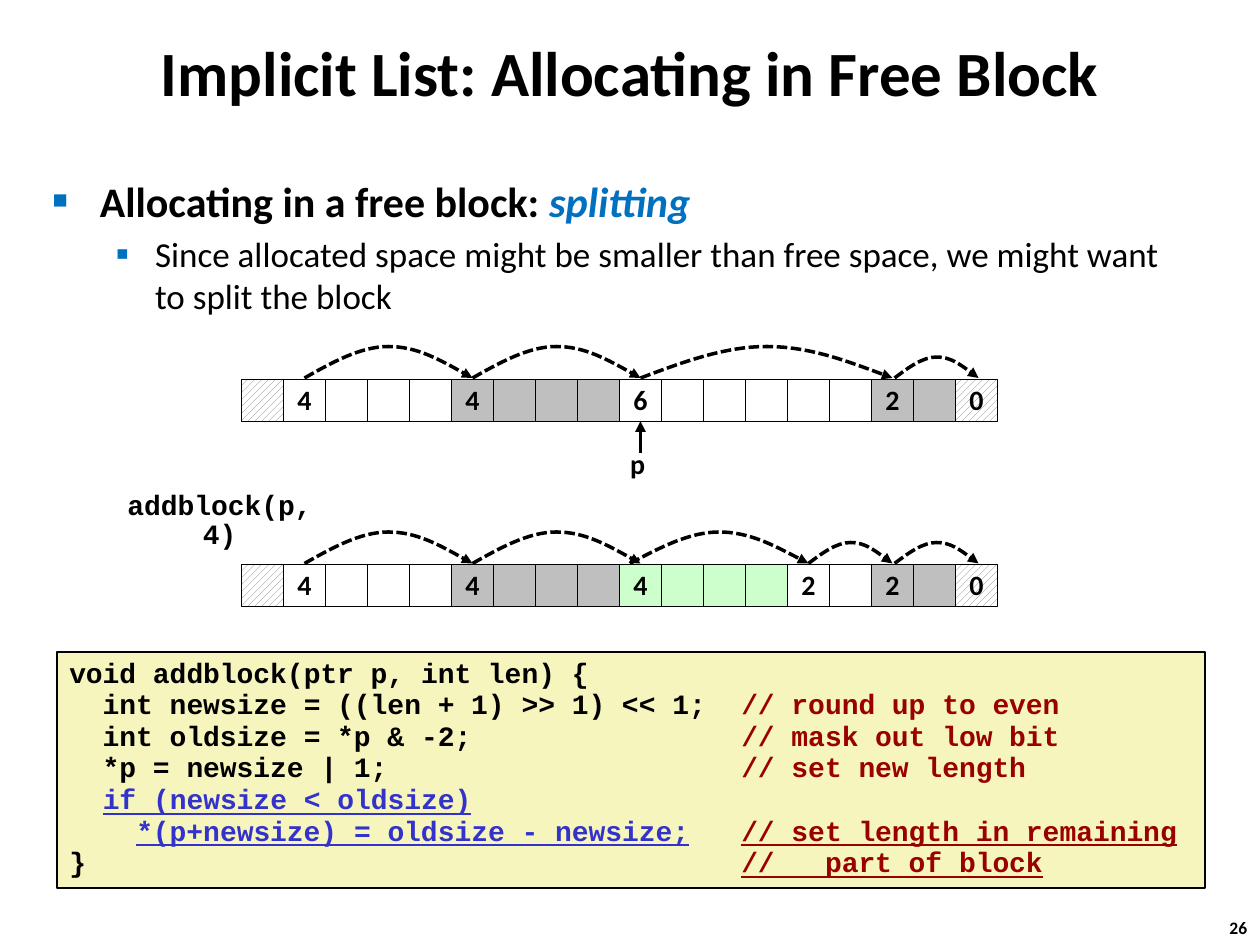
from lxml.etree import SubElement
from pptx import Presentation
from pptx.dml.color import RGBColor
from pptx.enum.dml import MSO_LINE, MSO_PATTERN
from pptx.enum.shapes import MSO_CONNECTOR, MSO_SHAPE
from pptx.enum.text import MSO_ANCHOR, PP_ALIGN
from pptx.oxml.ns import qn
from pptx.util import Pt

BLACK = RGBColor(0x00, 0x00, 0x00)
WHITE = RGBColor(0xFF, 0xFF, 0xFF)
GRAY = RGBColor(0xBF, 0xBF, 0xBF)
HATCH = RGBColor(0x80, 0x80, 0x80)
GREEN = RGBColor(0xCC, 0xFF, 0xCC)
CREAM = RGBColor(0xF6, 0xF5, 0xBD)
ACCENT = RGBColor(0x00, 0x70, 0xC0)
INDIGO = RGBColor(0x33, 0x33, 0xCC)
MAROON = RGBColor(0x99, 0x00, 0x00)

CELL = 24          # side of one memory word
HEAP_LEFT = 138
HATCHED = None     # fill of the words at both ends of the heap


class SlideBuilder:
    body_font = "Calibri"
    code_font = "Courier New"

    def __init__(self, slide):
        self.slide = slide
        self.shapes = slide.shapes

    def format(self, run, size=16, color=BLACK, bold=True, italic=None,
               underline=None, font=None):
        run.font.name = font or self.body_font
        run.font.size = Pt(size)
        run.font.bold = bold
        run.font.italic = italic
        run.font.underline = underline
        run.font.color.rgb = color

    def add_runs(self, paragraph, pieces, **style):
        for text, extra in pieces:
            run = paragraph.add_run()
            run.text = text
            self.format(run, **{**style, **extra})

    def label(self, left, top, width, height, text, align=PP_ALIGN.LEFT,
              spacing=None, wrap=False, anchor=MSO_ANCHOR.TOP, **style):
        box = self.shapes.add_textbox(Pt(left), Pt(top), Pt(width), Pt(height))
        self.fill_text(box.text_frame, text, align, spacing, wrap, anchor, **style)

    def fill_text(self, frame, text, align, spacing, wrap, anchor, **style):
        frame.text = text
        frame.word_wrap = wrap
        frame.vertical_anchor = anchor
        paragraph = frame.paragraphs[0]
        paragraph.alignment = align
        paragraph.line_spacing = spacing
        self.format(paragraph.runs[0], **style)

    def rectangle(self, left, top, width, height, color, line_width):
        box = self.shapes.add_shape(MSO_SHAPE.RECTANGLE, Pt(left), Pt(top),
                                    Pt(width), Pt(height))
        box.shadow.inherit = False
        if color is HATCHED:
            box.fill.patterned()
            box.fill.pattern = MSO_PATTERN.WIDE_UPWARD_DIAGONAL
            box.fill.fore_color.rgb = HATCH
            box.fill.back_color.rgb = WHITE
        else:
            box.fill.solid()
            box.fill.fore_color.rgb = color
        box.line.color.rgb = BLACK
        box.line.width = Pt(line_width)
        return box

    def heap(self, top, blocks):
        """Draw blocks of (header, words, colour) and return their words."""
        words = []
        for header, count, color in blocks:
            for position in range(count):
                word = self.rectangle(HEAP_LEFT + CELL * len(words), top,
                                      CELL, CELL, color, 0.25)
                if position == 0 and header:
                    self.fill_text(word.text_frame, header, PP_ALIGN.CENTER,
                                   0.98, False, MSO_ANCHOR.MIDDLE)
                words.append(word)
        return words

    def stroke(self, line):
        line.color.rgb = BLACK
        line.width = Pt(2)
        SubElement(line._get_or_add_ln(), qn("a:tailEnd"), type="triangle")

    def jump(self, base, first, last, rise):
        """Dashed arc between the centres of two words, counted from the left."""
        start, end = (Pt(HEAP_LEFT + CELL * (i + 0.5)) for i in (first, last))
        width, height = end - start, Pt(rise)
        builder = self.shapes.build_freeform(start, Pt(base))
        builder.add_line_segments(
            [(start + width // 2, Pt(base - rise)), (end, Pt(base))], close=False)
        arc = builder.convert_to_shape()
        # Bend both segments into Bezier curves
        bends = [[(1 / 6, 0.5), (1 / 3, 0)], [(2 / 3, 0), (5 / 6, 0.5)]]
        segments = list(arc._element.iter(qn("a:lnTo")))
        for segment, controls in zip(segments, bends):
            segment.tag = qn("a:cubicBezTo")
            for place, (x, y) in enumerate(controls):
                point = SubElement(segment, qn("a:pt"),
                                   x=str(round(width * x)), y=str(round(height * y)))
                segment.insert(place, point)
        arc.shadow.inherit = False
        arc.fill.background()
        arc.line.dash_style = MSO_LINE.SQUARE_DOT
        self.stroke(arc.line)

    def pointer(self, word, length):
        x, bottom = word.left + word.width // 2, word.top + word.height
        arrow = self.shapes.add_connector(MSO_CONNECTOR.STRAIGHT, x,
                                          bottom + Pt(length), x, bottom)
        arrow.end_connect(word, 2)
        self.stroke(arrow.line)
        SubElement(arrow._element.spPr, qn("a:effectLst"))

    def bullets(self, left, top, width, height, items):
        frame = self.shapes.add_textbox(Pt(left), Pt(top), Pt(width),
                                        Pt(height)).text_frame
        frame.word_wrap = True
        for level, (mark, scale, margin, hang, before, size, pieces) in enumerate(items):
            paragraph = frame.paragraphs[0] if level == 0 else frame.add_paragraph()
            paragraph.level = level
            paragraph.space_before = Pt(before)
            props = paragraph._p.get_or_add_pPr()
            props.set("marL", str(Pt(margin)))
            props.set("indent", str(-Pt(hang)))
            SubElement(SubElement(props, qn("a:buClr")), qn("a:srgbClr"), val=str(ACCENT))
            SubElement(props, qn("a:buSzPct"), val=str(scale * 1000))
            SubElement(props, qn("a:buFont"), typeface="Arial")
            SubElement(props, qn("a:buChar"), char=mark)
            self.add_runs(paragraph, pieces, size=size)

    def code(self, left, top, width, height, lines, comment_column):
        frame = self.rectangle(left, top, width, height, CREAM, 1).text_frame
        frame.word_wrap = True
        frame.vertical_anchor = MSO_ANCHOR.TOP
        for number, pieces in enumerate(lines):
            paragraph = frame.paragraphs[0] if number == 0 else frame.add_paragraph()
            paragraph.alignment = PP_ALIGN.LEFT
            paragraph.line_spacing = 0.94
            tabs = SubElement(paragraph._p.get_or_add_pPr(), qn("a:tabLst"))
            SubElement(tabs, qn("a:tab"), pos=str(Pt(comment_column)), algn="l")
            self.add_runs(paragraph, pieces, font=self.code_font)


def main():
    deck = Presentation()
    deck.slide_width, deck.slide_height = Pt(720), Pt(540)
    page = SlideBuilder(deck.slides.add_slide(deck.slide_layouts[6]))

    # Title, page number and bullets
    page.label(21, 18, 678, 45, "Implicit List: Allocating in Free Block",
               PP_ALIGN.CENTER, wrap=True, anchor=MSO_ANCHOR.MIDDLE, size=36)
    page.label(695.5, 520.5, 26.6, 19.4, "26", size=10)
    page.bullets(23, 96.5, 654.5, 90, [
        ("■", 60, 27, 27, 0, 24,
         [("Allocating in a free block: ", {}),
          ("splitting", {"color": ACCENT, "italic": True})]),
        ("▪", 110, 58.5, 22.5, 4, 20,
         [("Since allocated space might be smaller than free space, "
           "we might want to split the block", {"bold": False})]),
    ])

    # Code
    comment = {"color": MAROON}
    new_code = {"color": INDIGO, "underline": True}
    new_comment = {"color": MAROON, "underline": True}
    page.code(32.5, 372.5, 656, 135, [
        [("void addblock(ptr p, int len) {", {})],
        [("  int newsize = ((len + 1) >> 1) << 1;\t", {}),
         ("// round up to even", comment)],
        [("  int oldsize = *p & -2;\t", {}), ("// mask out low bit", comment)],
        [("  *p = newsize | 1;\t", {}), ("// set new length", comment)],
        [("  ", {}), ("if (newsize < oldsize)", new_code)],
        [("    ", {}), ("*(p+newsize) = oldsize - newsize;", new_code),
         ("\t", {"underline": True}), ("// set length in remaining", new_comment)],
        [("}\t", {}), ("//   part of block", new_comment)],
    ], comment_column=384)

    # Heap before and after the call
    edge, end = ("", 1, HATCHED), ("0", 1, HATCHED)
    first, second, last = ("4", 4, WHITE), ("4", 4, GRAY), ("2", 2, GRAY)
    before = page.heap(216.7, [edge, first, second, ("6", 6, WHITE), last, end])
    page.heap(322.5, [edge, first, second, ("4", 4, GREEN), ("2", 2, WHITE), last, end])

    # Jumps from header to header
    shared = [(1, 5, 18), (5, 9, 18), (15.05, 17.05, 12)]
    for base, own in ((216, [(9, 15, 18)]),
                      (322, [(8.75, 13, 18), (13, 15, 12)])):
        for start, stop, rise in shared + own:
            page.jump(base, start, stop, rise)

    # Pointer and call
    page.pointer(before[9], 18)
    page.label(353, 252.7, 23, 26.6, "p", spacing=0.98)
    page.label(54, 278, 143, 24, "addblock(p, 4)", PP_ALIGN.CENTER, 0.85,
               font=page.code_font)

    deck.save("out.pptx")


if __name__ == "__main__":
    main()
